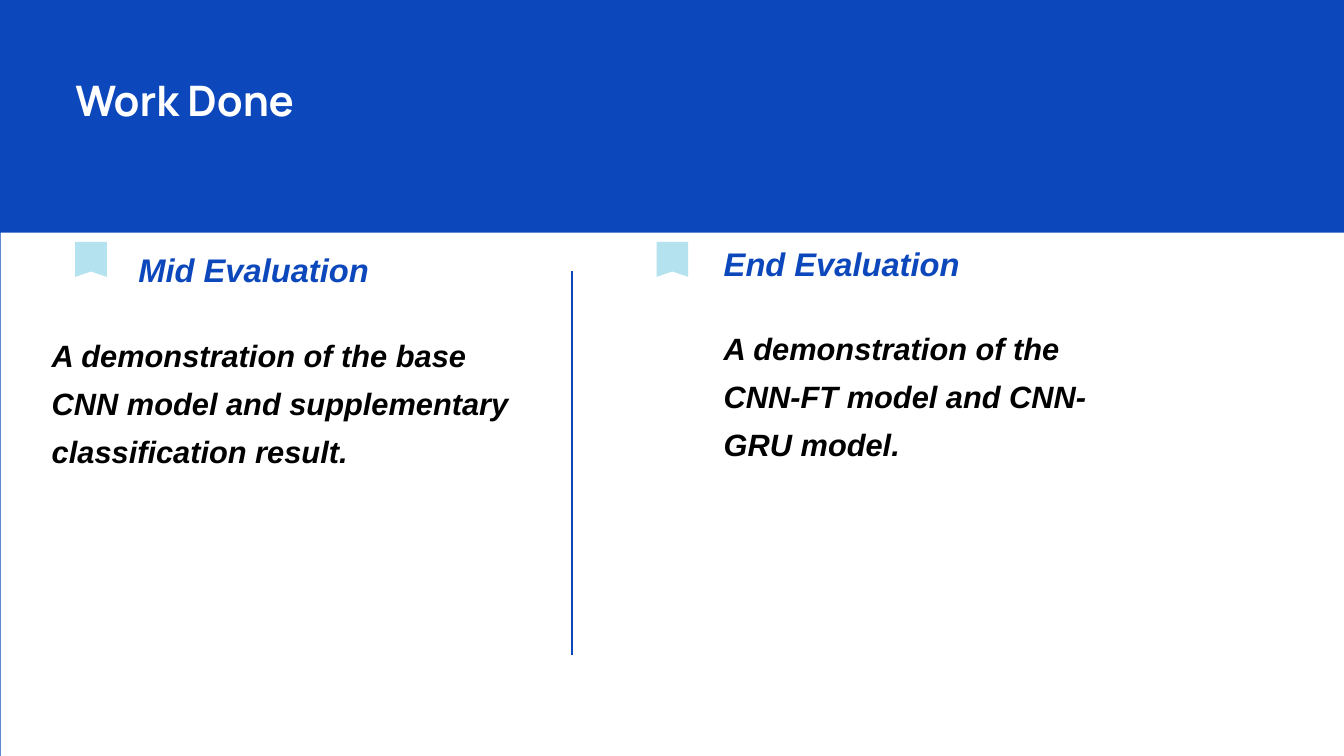
from lxml.etree import SubElement
from pptx import Presentation
from pptx.dml.color import RGBColor
from pptx.enum.shapes import MSO_CONNECTOR, MSO_SHAPE
from pptx.enum.text import MSO_ANCHOR, MSO_AUTO_SIZE, PP_ALIGN
from pptx.oxml.ns import qn
from pptx.util import Inches, Pt

HUES = {"blue": "0C48BB", "white": "FFFFFF", "aqua": "B4E3EF", "black": "000000"}

FRAME = {
    "margin_left": 0, "margin_right": 0, "margin_top": 0, "margin_bottom": 0,
    "word_wrap": True, "auto_size": MSO_AUTO_SIZE.NONE,
    "vertical_anchor": MSO_ANCHOR.TOP,
}
TITLE = {"name": "Manrope", "size": Pt(45), "bold": True, "italic": False}
HEAD = {"name": "Arial", "size": Pt(35), "bold": True, "italic": True}
BODY = {**HEAD, "size": Pt(33)}

# Each column: origin, then offsets and sizes of its parts
COLUMNS = [
    {"at": (0.77, 3.46), "mark": (0.35, 0.14),
     "head": (1.29, 0.09, 5.23, 0.59), "body": (0, 1.38, 6.97, 2.4),
     "texts": ("Mid Evaluation",
               "A demonstration of the base CNN model and supplementary "
               "classification result.")},
    {"at": (9.77, 3.46), "mark": (0, 0.14),
     "head": (1, 0, 4.89, 0.59), "body": (1, 1.28, 5.42, 2),
     "texts": ("End Evaluation",
               "A demonstration of the CNN-FT model and CNN-GRU model.")},
]


def color(key):
    return RGBColor.from_string(HUES[key])


def apply(target, values):
    for name, value in values.items():
        setattr(target, name, value)


def paint(shape, key):
    shape.shadow.inherit = False
    shape.fill.solid()
    shape.fill.fore_color.rgb = color(key)
    shape.line.fill.background()


def write(holder, box, text, style, hue, space=1.0):
    """Place a placeholder above the shapes and fill it with text."""
    holder.element.getparent().append(holder.element)
    for name, value in zip(("left", "top", "width", "height"), box):
        setattr(holder, name, Inches(value))
    frame = holder.text_frame
    frame.text = text
    apply(frame, FRAME)
    para = frame.paragraphs[0]
    props = para._p.get_or_add_pPr()
    props.set("marL", "0")
    props.set("indent", "0")
    SubElement(props, qn("a:buNone"))
    apply(para, {"alignment": PP_ALIGN.LEFT, "line_spacing": space,
                 "space_before": Pt(0), "space_after": Pt(0)})
    apply(para.font, style)
    para.font.color.rgb = color(hue)


def band(slide, box, hue):
    shape = slide.shapes.add_shape(
        MSO_SHAPE.RECTANGLE, *(Inches(value) for value in box))
    paint(shape, hue)


def ribbon(slide, left, top, width=0.47, height=0.52, notch=0.08):
    right, base = left + width, top + height
    points = [(right, base), (left + width / 2, base - notch),
              (left, base), (left, top)]
    build = slide.shapes.build_freeform(Inches(right), Inches(top))
    build.add_line_segments([(Inches(x), Inches(y)) for x, y in points])
    paint(build.convert_to_shape(), "aqua")


def divide(slide, x, top, base):
    rule = slide.shapes.add_connector(
        MSO_CONNECTOR.STRAIGHT, Inches(x), Inches(top), Inches(x), Inches(base))
    rule.line.color.rgb = color("blue")
    rule.line.width = Pt(1.5)
    SubElement(rule.element.spPr, qn("a:effectLst"))


def column(slide, part, head, body):
    x, y = part["at"]
    dx, dy = part["mark"]
    ribbon(slide, x + dx, y + dy)
    title, text = part["texts"]
    for holder, key, words, style, hue in (
            (head, "head", title, HEAD, "blue"),
            (body, "body", text, BODY, "black")):
        dx, dy, width, height = part[key]
        write(holder, (x + dx, y + dy, width, height), words, style, hue, 1.3)


def main():
    deck = Presentation()
    deck.slide_width, deck.slide_height = Inches(20), Inches(11.25)
    slide = deck.slides.add_slide(deck.slide_layouts[4])
    title, *slots = list(slide.placeholders)

    # Blue backdrop, white panel and divider
    band(slide, (0, 0, 20, 11.33), "blue")
    band(slide, (0.01, 3.46, 19.99, 7.88), "white")
    divide(slide, 8.51, 4.04, 9.74)

    # Title
    write(title, (1.12, 1.11, 12.11, 0.76), "Work Done", TITLE, "white")

    # Evaluation columns
    for part, head, body in zip(COLUMNS, slots[::2], slots[1::2]):
        column(slide, part, head, body)

    deck.save("out.pptx")


if __name__ == "__main__":
    main()
